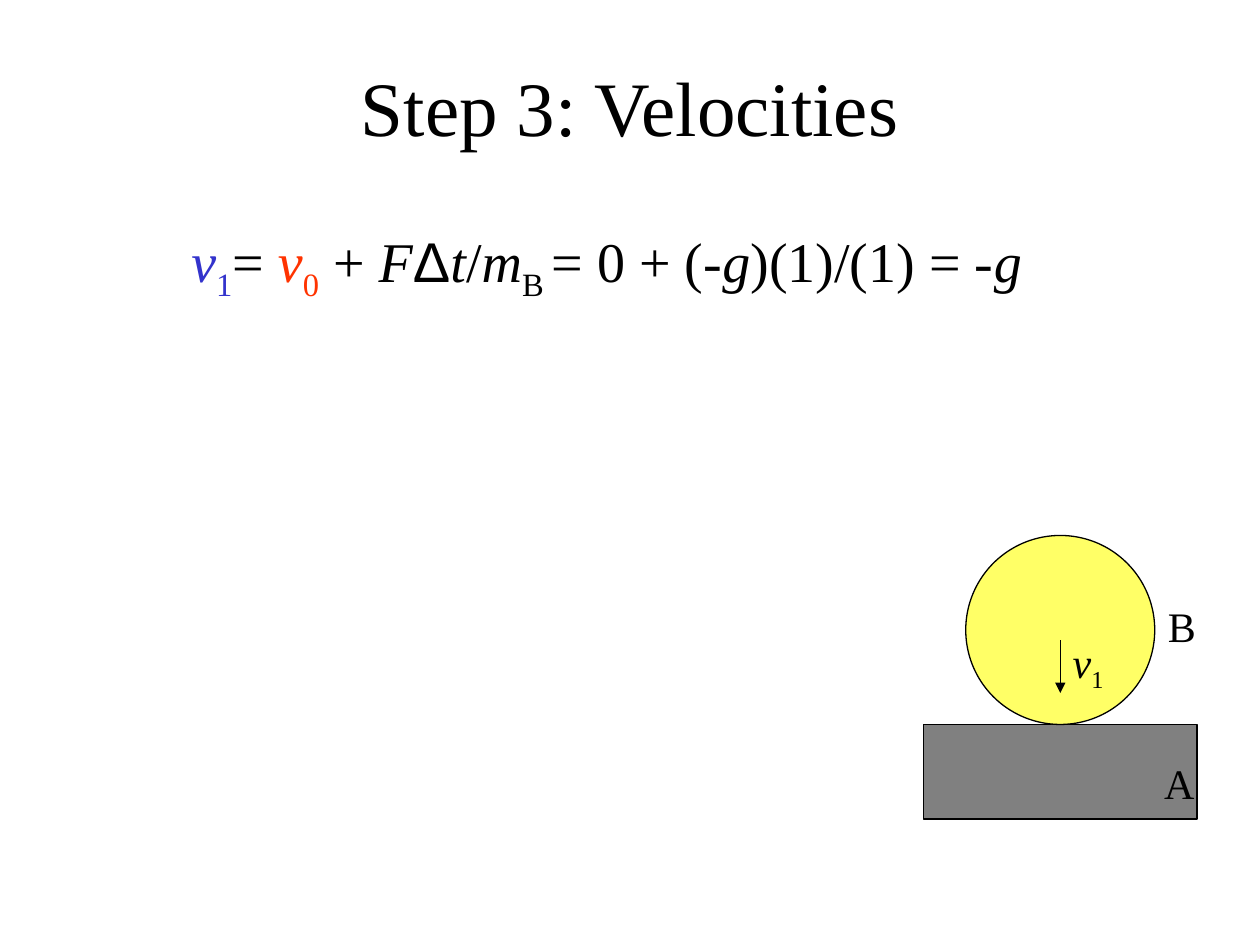
from collections import namedtuple
from dataclasses import dataclass

from lxml.etree import SubElement
from pptx import Presentation
from pptx.dml.color import RGBColor
from pptx.enum.shapes import MSO_CONNECTOR, MSO_SHAPE
from pptx.enum.text import MSO_ANCHOR, MSO_AUTO_SIZE, PP_ALIGN
from pptx.oxml.ns import qn
from pptx.util import Inches, Pt

Box = namedtuple("Box", "left top width height")
Piece = namedtuple("Piece", "text color italic subscript font",
                   defaults=(None, False, False, None))


@dataclass(frozen=True)
class Theme:
    """Colours, fonts and type sizes of the slide."""
    ink: RGBColor = RGBColor(0x00, 0x00, 0x00)
    new_velocity: RGBColor = RGBColor(0x33, 0x33, 0xCC)
    old_velocity: RGBColor = RGBColor(0xFF, 0x33, 0x00)
    ball: RGBColor = RGBColor(0xFF, 0xFF, 0x66)
    block: RGBColor = RGBColor(0x80, 0x80, 0x80)
    font: str = "Times New Roman"
    symbol_font: str = "Arial"
    title_size: Pt = Pt(44)
    equation_size: Pt = Pt(32)
    label_size: Pt = Pt(24)
    outline: Pt = Pt(0.75)


THEME = Theme()


def apply_format(target, values):
    """Set each named attribute of the target."""
    for name, value in values.items():
        setattr(target, name, value)


def variable(text, color=None):
    """Return an italic piece of text."""
    return Piece(text, color, italic=True)


def subscript(text, color=None):
    """Return a lowered piece of text."""
    return Piece(text, color, subscript=True)


def write_text(shape, pieces, size, frame_format, paragraph_format):
    """Write one paragraph into a shape and return the paragraph."""
    apply_format(shape.text_frame, frame_format)
    paragraph = shape.text_frame.paragraphs[0]
    apply_format(paragraph, {"line_spacing": 0.93, **paragraph_format})
    for piece in pieces:
        run = paragraph.add_run()
        run.text = piece.text
        apply_format(run.font, {"name": piece.font or THEME.font, "size": size,
                                "italic": piece.italic})
        run.font.color.rgb = piece.color or THEME.ink
        if piece.subscript:
            run.font._element.set("baseline", "-25000")
    return paragraph


def add_label(slide, box, pieces):
    """Add an unwrapped diagram label on a clear outline."""
    left, top, width, height = map(Inches, box)
    builder = slide.shapes.build_freeform(left, top)
    builder.add_line_segments([(left + width, top), (left + width, top + height),
                               (left, top + height)], close=True)
    shape = builder.convert_to_shape()
    shape.shadow.inherit = False
    shape.fill.background()
    shape.line.fill.background()
    write_text(shape, pieces, THEME.label_size,
               {"word_wrap": False, "vertical_anchor": MSO_ANCHOR.TOP,
                "auto_size": MSO_AUTO_SIZE.SHAPE_TO_FIT_TEXT},
               {"alignment": PP_ALIGN.LEFT})


def add_body(slide, kind, box, color):
    """Add an outlined solid body and return it."""
    shape = slide.shapes.add_shape(kind, *map(Inches, box))
    shape.shadow.inherit = False
    shape.fill.solid()
    shape.fill.fore_color.rgb = color
    shape.line.color.rgb = THEME.ink
    shape.line.width = THEME.outline
    return shape


def add_arrow(slide, left, top, length):
    """Add a downward arrow."""
    arrow = slide.shapes.add_connector(
        MSO_CONNECTOR.STRAIGHT, *map(Inches, (left, top, left, top + length)))
    arrow.line.color.rgb = THEME.ink
    arrow.line.width = THEME.outline
    SubElement(arrow.line._get_or_add_ln(), qn("a:tailEnd"), type="triangle")
    SubElement(arrow._element.spPr, qn("a:effectLst"))


def add_title(slide, box):
    """Place the centred slide title."""
    shape = slide.shapes.add_textbox(*map(Inches, box))
    write_text(shape, [Piece("Step 3: Velocities")], THEME.title_size,
               {"word_wrap": True, "vertical_anchor": MSO_ANCHOR.MIDDLE},
               {"alignment": PP_ALIGN.CENTER})


def add_equation(slide, box):
    """Place the velocity equation with its hanging indent."""
    pieces = [
        variable("v", THEME.new_velocity), subscript("1", THEME.new_velocity),
        Piece("= "),
        variable("v", THEME.old_velocity), subscript("0", THEME.old_velocity),
        Piece(" + "), variable("F"), Piece("Δ", font=THEME.symbol_font),
        variable("t"), Piece("/"), variable("m"), subscript("B "),
        Piece("= 0 + (-"), variable("g"), Piece(")(1)/(1) = -"), variable("g"),
    ]
    shape = slide.shapes.add_textbox(*map(Inches, box))
    paragraph = write_text(shape, pieces, THEME.equation_size,
                           {"word_wrap": True}, {"space_before": Pt(8)})
    properties = paragraph._p.get_or_add_pPr()
    properties.set("marL", str(Inches(0.37)))
    properties.set("indent", str(-Inches(0.37)))


def add_collision(slide, box):
    """Place ball B resting on block A, with its velocity arrow."""
    diameter = box.height * 2 / 3
    center = box.left + box.width / 2
    floor = box.top + diameter
    right = box.left + box.width
    block = add_body(slide, MSO_SHAPE.ROUNDED_RECTANGLE,
                     Box(box.left, floor, box.width, box.height - diameter), THEME.block)
    block.adjustments[0] = 0
    add_body(slide, MSO_SHAPE.OVAL,
             Box(center - diameter / 2, box.top, diameter, diameter), THEME.ball)
    add_label(slide, Box(right - 0.36, floor + 0.25, 0.44, 0.48), [Piece("A")])
    add_label(slide, Box(right - 0.33, box.top + 0.5, 0.42, 0.48), [Piece("B")])
    add_arrow(slide, center, floor - 0.67, 0.42)
    add_label(slide, Box(center, floor - 0.75, 0.45, 0.53),
              [variable("v"), subscript("1")])


def main():
    """Build and save the presentation."""
    presentation = Presentation()
    apply_format(presentation, {"slide_width": Inches(10), "slide_height": Inches(7.5)})
    slide = presentation.slides.add_slide(presentation.slide_layouts[6])
    add_title(slide, Box(0.75, 0.25, 8.5, 1.25))
    add_equation(slide, Box(1.42, 1.75, 7, 4.83))
    add_collision(slide, Box(7.33, 4.25, 2.17, 2.25))
    presentation.save("out.pptx")


if __name__ == "__main__":
    main()
